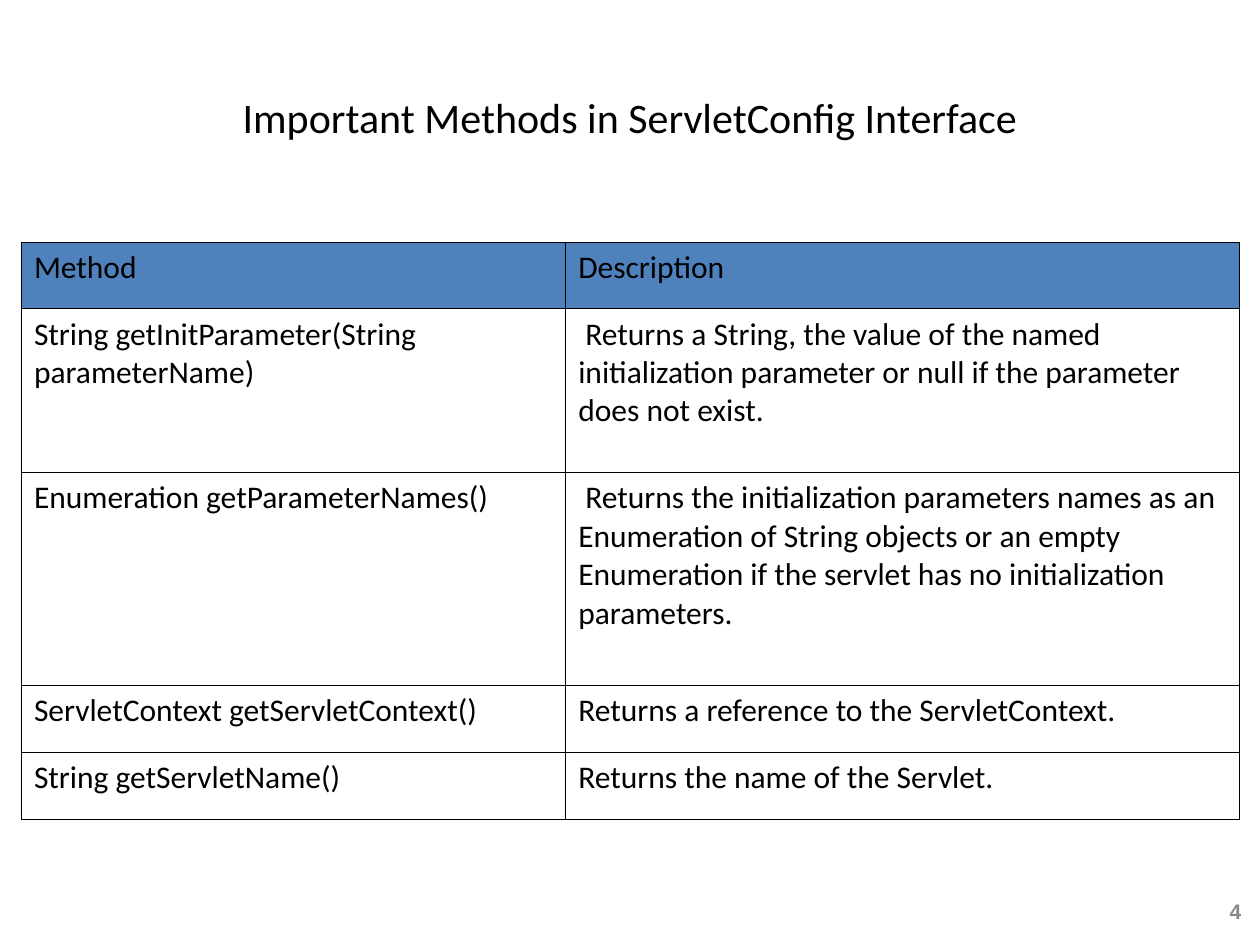
from lxml import etree
from pptx import Presentation
from pptx import util as u
from pptx.dml.color import RGBColor
from pptx.enum import text
from pptx.oxml.ns import qn

WIDTH, HEIGHT = 10, 7.5
COLORS = {"ink": "000000", "header": "4F81BD", "number": "898989"}
COLUMN_WIDTHS = [4.32, 5.35]
ROW_HEIGHTS = [0.53, 1.3, 1.69, 0.53, 0.53]
METHODS = [
    ("Method", "Description"),
    ("String getInitParameter(String parameterName)",
     " Returns a String, the value of the named initialization parameter "
     "or null if the parameter does not exist."),
    ("Enumeration getParameterNames()",
     " Returns the initialization parameters names as an Enumeration of "
     "String objects or an empty Enumeration if the servlet has no "
     "initialization parameters."),
    ("ServletContext getServletContext()",
     "Returns a reference to the ServletContext."),
    ("String getServletName()", "Returns the name of the Servlet."),
]


def color(name):
    return RGBColor.from_string(COLORS[name])


def place(shape, left, top, width, height):
    shape.left, shape.top = u.Inches(left), u.Inches(top)
    shape.width, shape.height = u.Inches(width), u.Inches(height)


def write(frame, words, size, align, ink="ink", font="Calibri", bold=False):
    paragraph = frame.paragraphs[0]
    paragraph.alignment = align
    run = paragraph.add_run()
    run.text = words
    run.font.name, run.font.size, run.font.bold = font, u.Pt(size), bold
    run.font.color.rgb = color(ink)


def add_title(slide, words):
    title = slide.shapes.title
    place(title, 0.05 * WIDTH, 0.04 * HEIGHT, 0.9 * WIDTH, 1.25)
    title.text_frame.vertical_anchor = text.MSO_ANCHOR.MIDDLE
    write(title.text_frame, words, 24, text.PP_ALIGN.CENTER)


def add_page_number(slide, number):
    box = slide.shapes.add_textbox(0, 0, 0, 0)
    place(box, 9.46, 7.06, 0.49, 0.35)
    box.text_frame.word_wrap = True
    box.text_frame.vertical_anchor = text.MSO_ANCHOR.MIDDLE
    write(box.text_frame, number, 12, text.PP_ALIGN.RIGHT,
          ink="number", font="Arial", bold=True)


def outline(cell):
    properties = cell._tc.get_or_add_tcPr()
    for side in ("a:lnL", "a:lnR", "a:lnT", "a:lnB"):
        line = etree.SubElement(properties, qn(side), w=str(u.Pt(0.45)))
        fill = etree.SubElement(line, qn("a:solidFill"))
        etree.SubElement(fill, qn("a:srgbClr"), val=COLORS["ink"])


def fill_cell(cell, words, is_header):
    cell.margin_left = cell.margin_right = u.Inches(0.1)
    cell.margin_top = cell.margin_bottom = u.Inches(0.05)
    write(cell.text_frame, words, 18, text.PP_ALIGN.LEFT)
    outline(cell)
    if is_header:
        cell.fill.solid()
        cell.fill.fore_color.rgb = color("header")
    else:
        cell.fill.background()


def add_methods_table(slide):
    frame = slide.shapes.add_table(
        len(METHODS), len(COLUMN_WIDTHS), u.Inches(0.17), u.Inches(1.92),
        u.Inches(sum(COLUMN_WIDTHS)), u.Inches(sum(ROW_HEIGHTS)))
    table = frame.table
    table.first_row = table.horz_banding = False
    for column, width in zip(table.columns, COLUMN_WIDTHS):
        column.width = u.Inches(width)
    for index, (row, height) in enumerate(zip(table.rows, ROW_HEIGHTS)):
        row.height = u.Inches(height)
        for cell, words in zip(row.cells, METHODS[index]):
            fill_cell(cell, words, is_header=index == 0)


def main():
    deck = Presentation()
    deck.slide_width, deck.slide_height = u.Inches(WIDTH), u.Inches(HEIGHT)
    slide = deck.slides.add_slide(deck.slide_layouts.get_by_name("Title Only"))
    add_title(slide, "Important Methods in ServletConfig Interface")
    add_page_number(slide, "4")
    add_methods_table(slide)
    deck.save("out.pptx")


if __name__ == "__main__":
    main()
